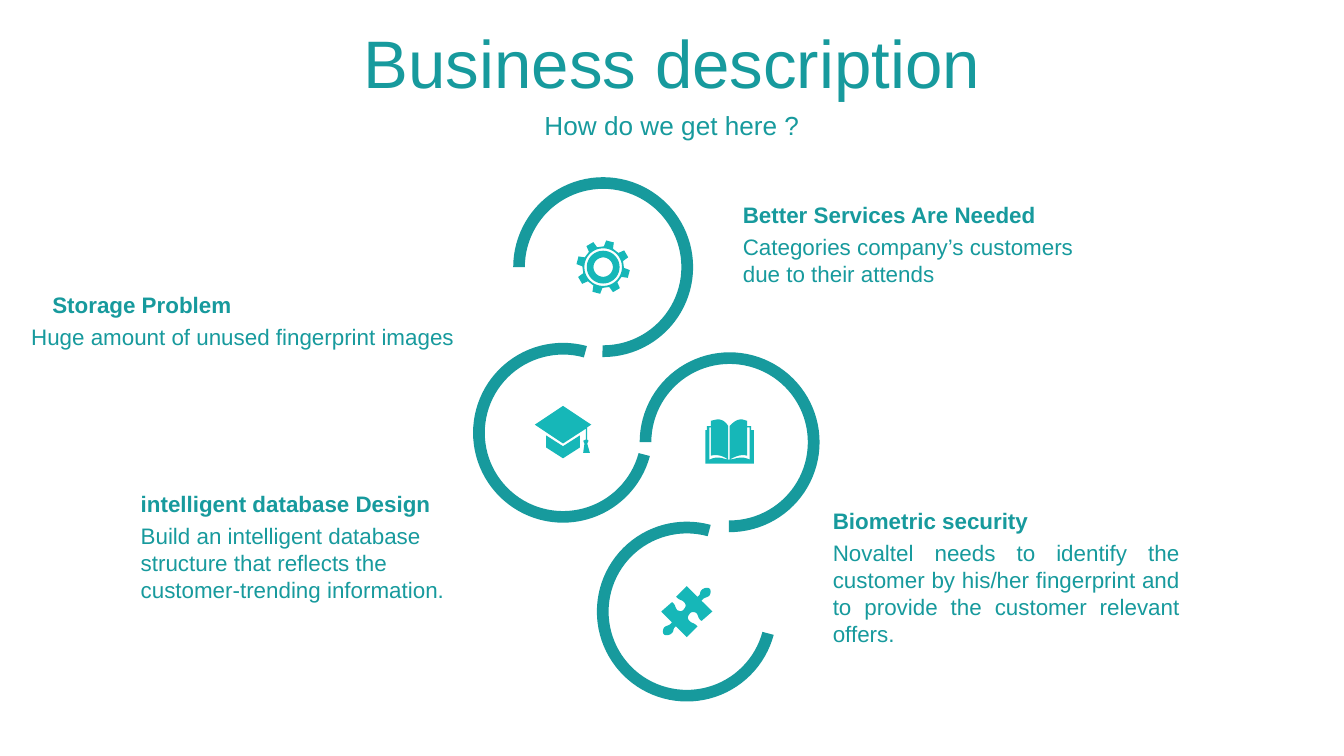
from math import cos, radians, sin

from pptx import Presentation
from pptx.dml.color import RGBColor
from pptx.enum.shapes import MSO_SHAPE
from pptx.enum.text import MSO_ANCHOR, MSO_AUTO_SIZE, PP_ALIGN
from pptx.util import Cm, Pt

TEAL = "179A9D"
AQUA = "16B7B8"
SLIDE_WIDTH, SLIDE_HEIGHT = 25.4, 14.29
RING_SIZE = 3.4
ICON_UNIT = 0.0254  # cm per icon grid unit
FINE = 100          # freeform points are whole numbers, so the grid is subdivided

TITLE = "Business description"
SUBTITLE = "How do we get here ?"

# heading, body, heading left, heading width, body left, body width, top, body height, body alignment
CAPTIONS = [
    ("Storage Problem", "Huge amount of unused fingerprint images",
     0.74, 8.1, 0.28, 8.56, 5.38, 1.27, PP_ALIGN.RIGHT),
    ("Better Services Are Needed", "Categories company’s customers due to their attends",
     13.79, 7.06, 13.79, 7.06, 3.68, 1.27, PP_ALIGN.LEFT),
    ("Biometric security",
     "Novaltel needs to identify the customer by his/her fingerprint and "
     "to provide the customer relevant offers.",
     15.49, 7.06, 15.49, 7.06, 9.46, 2.31, PP_ALIGN.JUSTIFY),
    ("intelligent database Design",
     "Build an intelligent database structure that reflects the customer-trending information.",
     2.41, 7.06, 2.41, 7.06, 9.14, 1.8, PP_ALIGN.LEFT),
]
BODY_OFFSET = 0.61

# Icon outlines around the ring centre: pairs are corners, sixes are Bézier curves
CAP = [
    [(0, -20), (21, -6), (18, -4), (18, 5), (19, 6), (18, 8), (20, 15), (15, 15),
     (16, 8), (15, 6), (17, 5), (17, -3), (0, 8), (-21, -6)],
    [(-12.5, 2), (0, 10), (12.5, 2), (12.5, 11), (0, 19), (-12.5, 11)],
]
BOOK = [[
    (0, 13), (6, 12, 9, 10, 15, 13), (15, -11), (13, -11), (13, 10), (9, 9, 5, 10, 0, 13),
    (0, -12), (3, -15, 5, -17, 9, -17), (10, -17, 12, -16, 13, -16), (13, -12), (16, -12),
    (16, -9), (18, -9), (18, 16), (-18, 16), (-18, -9), (-17, -9), (-17, -12), (-14, -12),
    (-14, -16), (-13, -16, -10, -17, -9, -17), (-5, -17, -3, -15, -1, -12), (-1, 13),
    (-5, 10, -9, 9, -14, 10), (-14, -11), (-15, -11), (-15, 13), (-9, 10, -6, 12, -1, 13),
]]
HALF_PUZZLE = [
    (17, -17), (18, -16, 18, -14, 17, -12), (15, -10, 13, -11, 11, -8), (19, 0), (11, 7),
    (8, 5, 9, 3, 7, 1), (5, 0, 3, 0, 2, 2), (1, 3, 0, 5, 2, 7), (4, 9, 5, 8, 8, 11),
    (0, 19), (-8, 11), (-11, 13, -9, 14, -11, 16), (-13, 18, -16, 18, -17, 17),
]
PUZZLE = [HALF_PUZZLE + [tuple(-value for value in step) for step in HALF_PUZZLE[1:]]]


def polar(radius, angle):
    return radius * cos(radians(angle)), radius * sin(radians(angle))


def circle(radius):
    return [polar(radius, angle) for angle in range(0, 360, 6)]


def gear():
    teeth = []
    for middle in range(15, 375, 45):
        teeth += [polar(radius, middle + turn)
                  for radius, turn in ((15.5, -13), (20, -8.5), (20, 8.5), (15.5, 13))]
    return [teeth, circle(14), circle(12.2), circle(7.2)]


# centre x, centre y, rotation, icon
RINGS = [
    (11.4, 5.05, 0, gear()),
    (10.64, 8.18, 195, CAP),
    (13.79, 8.36, 0, BOOK),
    (12.98, 11.56, 195, PUZZLE),
]


def color(value):
    return RGBColor.from_string(value)


def paint(shape, fill):
    shape.shadow.inherit = False
    shape.fill.solid()
    shape.fill.fore_color.rgb = color(fill)
    shape.line.fill.background()


def flatten(outline, steps=8):
    """Turn corners and Bézier curves into a list of fine grid points."""
    points = [outline[0]]
    for step in outline[1:]:
        if len(step) == 2:
            points.append(step)
            continue
        controls = [points[-1], step[:2], step[2:4], step[4:]]
        for index in range(1, steps + 1):
            t = index / steps
            weights = ((1 - t) ** 3, 3 * t * (1 - t) ** 2, 3 * t * t * (1 - t), t ** 3)
            points.append(tuple(sum(w * control[axis] for w, control in zip(weights, controls))
                                for axis in (0, 1)))
    return [(x * FINE, y * FINE) for x, y in points]


def add_icon(shapes, outlines, center_x, center_y):
    contours = [flatten(outline) for outline in outlines]
    builder = shapes.build_freeform(*contours[0][0], scale=Cm(ICON_UNIT) / FINE)
    for number, points in enumerate(contours):
        if number:
            builder.move_to(*points[0])
        builder.add_line_segments(points[1:], close=True)
    paint(builder.convert_to_shape(Cm(center_x), Cm(center_y)), AQUA)


def add_ring(shapes, center_x, center_y, rotation):
    ring = shapes.add_shape(MSO_SHAPE.BLOCK_ARC, Cm(center_x - RING_SIZE / 2),
                            Cm(center_y - RING_SIZE / 2), Cm(RING_SIZE), Cm(RING_SIZE))
    for index, value in enumerate((108, 54.26, 0.065)):
        ring.adjustments[index] = value
    ring.rotation = rotation
    paint(ring, TEAL)


def write(shape, text, size, alignment=PP_ALIGN.LEFT, bold=False, **frame_format):
    frame = shape.text_frame
    for name, value in {"word_wrap": True, **frame_format}.items():
        setattr(frame, name, value)
    paragraph = frame.paragraphs[0]
    paragraph.text = text
    paragraph.alignment = alignment
    paragraph.space_before = Pt(0)
    for name, value in {"name": "Arial", "size": Pt(size), "bold": bold}.items():
        setattr(paragraph.font, name, value)
    paragraph.font.color.rgb = color(TEAL)


def add_caption(shapes, heading, body, heading_left, heading_width,
                body_left, body_width, top, body_height, alignment):
    group = shapes.add_group_shape()
    body_box = group.shapes.add_textbox(Cm(body_left), Cm(top + BODY_OFFSET),
                                        Cm(body_width), Cm(body_height))
    write(body_box, body, 12, alignment, auto_size=MSO_AUTO_SIZE.SHAPE_TO_FIT_TEXT)
    heading_box = group.shapes.add_textbox(Cm(heading_left), Cm(top), Cm(heading_width), Cm(0.77))
    write(heading_box, heading, 12, bold=True, auto_size=MSO_AUTO_SIZE.SHAPE_TO_FIT_TEXT)


def main():
    presentation = Presentation()
    presentation.slide_width, presentation.slide_height = Cm(SLIDE_WIDTH), Cm(SLIDE_HEIGHT)
    slide = presentation.slides.add_slide(presentation.slide_layouts[5])
    shapes = slide.shapes

    title = shapes.title
    title.left, title.top, title.width, title.height = Cm(0), Cm(0.36), Cm(SLIDE_WIDTH), Cm(1.6)
    subtitle = shapes.add_textbox(Cm(0), Cm(1.96), Cm(SLIDE_WIDTH), Cm(0.8))
    for shape, text, size in ((title, TITLE, 36), (subtitle, SUBTITLE, 14)):
        write(shape, text, size, PP_ALIGN.CENTER,
              vertical_anchor=MSO_ANCHOR.MIDDLE, auto_size=MSO_AUTO_SIZE.NONE)

    for center_x, center_y, rotation, icon in RINGS:
        add_ring(shapes, center_x, center_y, rotation)
        add_icon(shapes, icon, center_x, center_y)
    for caption in CAPTIONS:
        add_caption(shapes, *caption)

    presentation.save("out.pptx")


if __name__ == "__main__":
    main()
